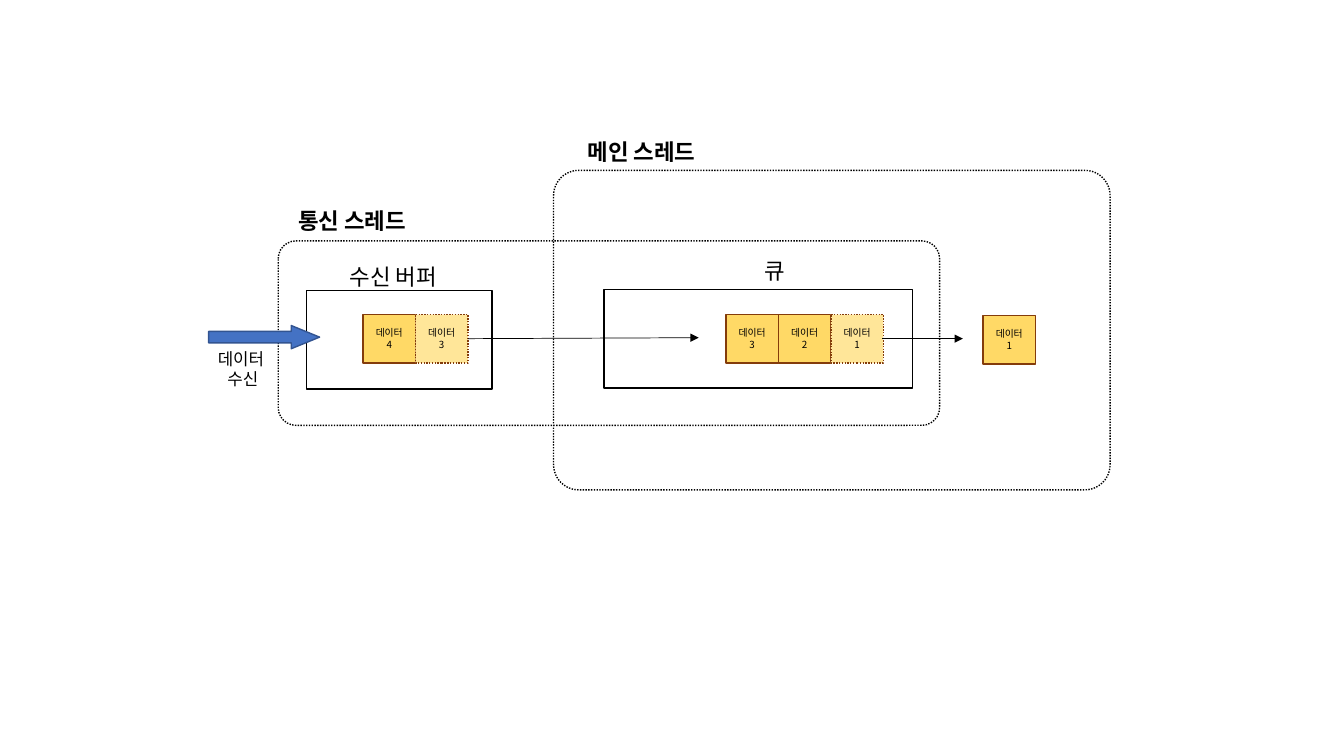
"""Build a slide on how received data passes between two threads."""
from dataclasses import dataclass

from lxml import etree
from pptx import Presentation
from pptx import util as u
from pptx.dml.color import RGBColor
from pptx.enum import dml, shapes, text
from pptx.oxml import ns

Kind = shapes.MSO_SHAPE
Side = text.PP_ALIGN


@dataclass(frozen=True)
class Theme:
    """Colours, type sizes and line widths of the slide."""
    font: str = "Noto Sans CJK KR"
    ink: str = "000000"
    gold: str = "FFD966"
    pale: str = "FFE699"
    brown: str = "843C0B"
    blue: str = "4472C4"
    navy: str = "325491"
    head: int = 16
    note: int = 12
    tiny: int = 7
    rule: float = 1
    thin: float = 0.5


@dataclass(frozen=True)
class Box:
    """Place and size in inches."""
    x: float
    y: float
    w: float
    h: float


@dataclass(frozen=True)
class Label:
    """A caption and its format."""
    words: str
    box: Box
    size: int
    bold: bool = False
    side: Side = Side.LEFT


@dataclass(frozen=True)
class Row:
    """Data cells side by side; the last may be on its way out."""
    x: float
    y: float
    nums: tuple[int, ...]
    leaves: bool = True


theme = Theme()
CELL_W, CELL_H = 0.52, 0.48

THREADS = {
    "comm": (Box(2.76, 2.39, 6.56, 1.83), 0.096),
    "main": (Box(5.49, 1.69, 5.52, 3.17), 0.079),
}
STORES = (Box(3.04, 2.88, 1.84, 0.98), Box(5.99, 2.87, 3.06, 0.98))
ROWS = (
    Row(3.6, 3.12, (4, 3)),
    Row(7.2, 3.12, (3, 2, 1)),
    Row(9.75, 3.13, (1,), leaves=False),
)
FLOWS = (((4.64, 3.36), (6.93, 3.35)), ((8.75, 3.36), (9.55, 3.36)))
LABELS = (
    Label("수신 버퍼", Box(3.37, 2.56, 1.18, 0.37), theme.head),
    Label("큐", Box(7.09, 2.5, 1.18, 0.37), theme.head, side=Side.CENTER),
    Label("데이터\n 수신", Box(1.8, 3.41, 1.18, 0.5), theme.note,
          side=Side.CENTER),
    Label("통신 스레드", Box(2.86, 2.01, 1.48, 0.37), theme.head, bold=True),
    Label("메인 스레드", Box(5.73, 1.32, 1.48, 0.37), theme.head, bold=True),
)


def rgb(code: str) -> RGBColor:
    """Turn a hex code into a colour."""
    return RGBColor.from_string(code)


def place(box: Box) -> list[u.Length]:
    """Give the four lengths of a box."""
    return [u.Inches(v) for v in (box.x, box.y, box.w, box.h)]


def write(frame, words: str, *, size: int, bold: bool = False,
          side: Side = Side.LEFT) -> None:
    """Put text in a frame, one paragraph a line."""
    frame.word_wrap = True
    frame.text = words
    for para in frame.paragraphs:
        para.alignment = side
        for run in para.runs:
            font = run.font
            font.name, font.size, font.bold = theme.font, u.Pt(size), bold
            font.color.rgb = rgb(theme.ink)
            east = etree.SubElement(run._r.get_or_add_rPr(), ns.qn("a:ea"))
            east.set("typeface", theme.font)


def draw(slide, kind: Kind, box: Box, *, fill: str | None = None,
         line: str = theme.ink, dots: bool = False,
         adjs: tuple[float, ...] = ()):
    """Add a preset shape with its fill and outline."""
    shape = slide.shapes.add_shape(kind, *place(box))
    shape.shadow.inherit = False
    for i, value in enumerate(adjs):
        shape.adjustments[i] = value
    if fill:
        shape.fill.solid()
        shape.fill.fore_color.rgb = rgb(fill)
    else:
        shape.fill.background()
    shape.line.color.rgb = rgb(line)
    shape.line.width = u.Pt(theme.rule)
    if dots:
        shape.line.dash_style = dml.MSO_LINE.ROUND_DOT
    return shape


def thread(slide, name: str) -> None:
    """Add the dotted round frame of a thread."""
    box, curve = THREADS[name]
    draw(slide, Kind.ROUNDED_RECTANGLE, box, dots=True, adjs=(curve,))


def cells(slide, row: Row) -> None:
    """Add a row of numbered data cells."""
    last = len(row.nums) - 1
    for i, num in enumerate(row.nums):
        gone = row.leaves and i == last
        box = Box(row.x + i * CELL_W, row.y, CELL_W, CELL_H)
        shape = draw(slide, Kind.RECTANGLE, box, line=theme.brown, dots=gone,
                     fill=theme.pale if gone else theme.gold)
        shape.text_frame.vertical_anchor = text.MSO_ANCHOR.MIDDLE
        write(shape.text_frame, f"데이터\n{num}", size=theme.tiny,
              side=Side.CENTER)


def flow(slide, start: tuple[float, float], end: tuple[float, float]) -> None:
    """Add a thin arrow between two points."""
    ends = [u.Inches(v) for v in (*start, *end)]
    link = slide.shapes.add_connector(shapes.MSO_CONNECTOR.STRAIGHT, *ends)
    link.line.color.rgb = rgb(theme.ink)
    link.line.width = u.Pt(theme.thin)
    tip = etree.SubElement(link.line._get_or_add_ln(), ns.qn("a:tailEnd"))
    tip.set("type", "triangle")
    etree.SubElement(link._element.spPr, ns.qn("a:effectLst"))


def label(slide, item: Label) -> None:
    """Add a caption."""
    frame = slide.shapes.add_textbox(*place(item.box)).text_frame
    write(frame, item.words, size=item.size, bold=item.bold, side=item.side)


def main() -> None:
    """Build and save the slide."""
    deck = Presentation()
    deck.slide_width, deck.slide_height = u.Inches(13.33), u.Inches(7.5)
    slide = deck.slides.add_slide(deck.slide_layouts[6])
    thread(slide, "comm")
    for store in STORES:
        draw(slide, Kind.RECTANGLE, store)
    for row in ROWS:
        cells(slide, row)
    for start, end in FLOWS:
        flow(slide, start, end)
    draw(slide, Kind.RIGHT_ARROW, Box(2.07, 3.23, 1.1, 0.23),
         fill=theme.blue, line=theme.navy, adjs=(0.5, 1.22))
    thread(slide, "main")
    for item in LABELS:
        label(slide, item)
    deck.save("out.pptx")


main()
